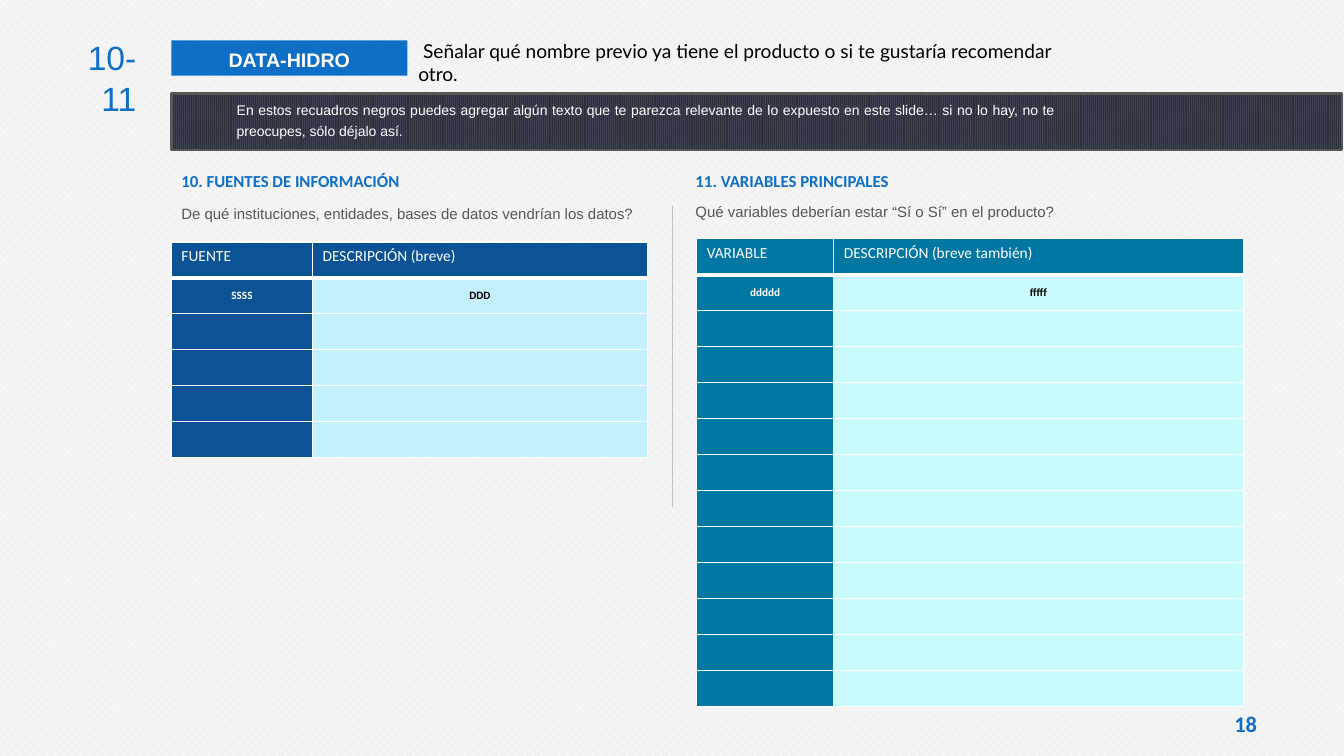
from dataclasses import dataclass

from lxml import etree
from pptx import Presentation
from pptx.dml.color import RGBColor
from pptx.enum.dml import MSO_PATTERN
from pptx.enum.shapes import MSO_CONNECTOR, MSO_SHAPE
from pptx.enum.text import MSO_ANCHOR, PP_ALIGN
from pptx.oxml import parse_xml
from pptx.oxml.ns import nsdecls, qn
from pptx.util import Inches, Pt


@dataclass(frozen=True)
class Theme:
    blue: str = "0F6FC6"
    navy: str = "0B5394"
    sky: str = "C4EFFF"
    teal: str = "0076A3"
    aqua: str = "C9FAFC"
    white: str = "FFFFFF"
    paper: str = "F2F2F2"
    black: str = "000000"
    gray: str = "575756"
    rule: str = "BFBFBF"
    band: str = "2D313C"
    band_back: str = "444A5A"
    number: float = 24
    page: float = 16
    tag: float = 14
    lead: float = 13.7
    heading: float = 12
    header: float = 11
    question: float = 10.7
    note: float = 10
    cell: float = 8


THEME = Theme()
ROW_HEIGHT = 0.357


def color(value):
    return RGBColor.from_string(value)


def write(frame, text, *, size, ink, font="Arial", bold=False,
          align=PP_ALIGN.LEFT, spacing=None):
    frame.word_wrap = True
    paragraph = frame.paragraphs[0]
    paragraph.alignment = align
    if spacing:
        paragraph.line_spacing = spacing
    run = paragraph.add_run()
    run.text = text
    run.font.size = Pt(size)
    run.font.name = font
    run.font.bold = bold
    run.font.color.rgb = color(ink)


def add_text(slide, box, text, anchor=MSO_ANCHOR.TOP, **style):
    frame = slide.shapes.add_textbox(*map(Inches, box)).text_frame
    frame.vertical_anchor = anchor
    write(frame, text, **style)
    return frame


def set_pattern(fill, preset, front, back):
    fill.patterned()
    fill.pattern = MSO_PATTERN.from_xml(preset)
    fill.fore_color.rgb = color(front)
    fill.back_color.rgb = color(back)


def set_borders(cell, bottom):
    properties = cell._tc.get_or_add_tcPr()
    widths = {"lnL": 1, "lnR": 1, "lnT": 1, "lnB": bottom}
    for index, (side, width) in enumerate(widths.items()):
        properties.insert(index, parse_xml(
            f'<a:{side} {nsdecls("a")} w="{Pt(width)}"><a:solidFill>'
            f'<a:srgbClr val="{THEME.white}"/></a:solidFill></a:{side}>'))


def add_title(slide, left, top):
    # Section number, product tag and instruction
    add_text(slide, (left, top, 0.98, 0.5), "10-11", size=THEME.number,
             ink=THEME.blue, align=PP_ALIGN.RIGHT)
    add_text(slide, (left + 3.58, top + 0.02, 6.71, 0.56),
             " Señalar qué nombre previo ya tiene el producto o si te gustaría recomendar otro.",
             anchor=MSO_ANCHOR.MIDDLE, size=THEME.lead, ink=THEME.black, font="Lato")
    tag = slide.shapes.add_shape(MSO_SHAPE.RECTANGLE, Inches(left + 1.23),
                                 Inches(top + 0.08), Inches(2.34), Inches(0.35))
    tag.shadow.inherit = False
    tag.fill.solid()
    tag.fill.fore_color.rgb = color(THEME.blue)
    tag.line.fill.background()
    tag.text_frame.vertical_anchor = MSO_ANCHOR.TOP
    write(tag.text_frame, "DATA-HIDRO", size=THEME.tag, ink=THEME.white,
          bold=True, align=PP_ALIGN.CENTER, spacing=1.1)


def add_note_band(slide, left, top, width, height):
    band = slide.shapes.add_shape(MSO_SHAPE.RECTANGLE,
                                  *map(Inches, (left, top, width, height)))
    band.shadow.inherit = False
    set_pattern(band.fill, "pct90", THEME.band, THEME.band_back)
    band.line.color.rgb = color(THEME.gray)
    band.line.width = Pt(2)

    # Bookmark ribbon
    x, y = left + 0.21, top + 0.02
    builder = slide.shapes.build_freeform(x, y, scale=Inches(1))
    builder.add_line_segments([(x + 0.14, y), (x + 0.14, y + 0.25),
                               (x + 0.07, y + 0.23), (x, y + 0.25)], close=True)
    ribbon = builder.convert_to_shape()
    ribbon.shadow.inherit = False
    ribbon.fill.solid()
    ribbon.fill.fore_color.rgb = color(THEME.blue)
    ribbon.line.fill.background()

    add_text(slide, (left + 0.55, top, 8.3, height),
             "En estos recuadros negros puedes agregar algún texto que te parezca relevante "
             "de lo expuesto en este slide… si no lo hay, no te preocupes, sólo déjalo así.",
             size=THEME.note, ink=THEME.white, align=PP_ALIGN.JUSTIFY, spacing=1.2)


def add_section(slide, left, top, width, heading, question, question_gap):
    add_text(slide, (left, top, width, 0.3), heading, size=THEME.heading,
             ink=THEME.blue, font="Calibri", bold=True)
    frame = add_text(slide, (left, top + question_gap, width, 0.28), question,
                     size=THEME.question, ink=THEME.gray)
    frame.paragraphs[0].space_after = Pt(6)


def add_grid(slide, left, top, widths, row_count, header, sample, dark, light):
    frame = slide.shapes.add_table(row_count, len(widths), Inches(left), Inches(top),
                                   Inches(sum(widths)), Inches(ROW_HEIGHT * row_count))
    table = frame.table
    for column, width in zip(table.columns, widths):
        column.width = Inches(width)
    for row_index, row in enumerate(table.rows):
        row.height = Inches(ROW_HEIGHT)
        is_header = row_index == 0
        for column_index, cell in enumerate(row.cells):
            is_dark = is_header or column_index == 0
            cell.fill.solid()
            cell.fill.fore_color.rgb = color(dark if is_dark else light)
            set_borders(cell, bottom=3 if is_header else 1)
            if is_header:
                write(cell.text_frame, header[column_index], size=THEME.header,
                      ink=THEME.white, font="Calibri")
                continue
            cell.vertical_anchor = MSO_ANCHOR.MIDDLE
            cell.margin_left = cell.margin_right = 0
            cell.margin_top = cell.margin_bottom = 0
            if row_index == 1:
                write(cell.text_frame, sample[column_index], size=THEME.cell,
                      ink=THEME.white if is_dark else THEME.black,
                      font="Calibri", bold=True, align=PP_ALIGN.CENTER)


def add_divider(slide, x, top, bottom):
    line = slide.shapes.add_connector(MSO_CONNECTOR.STRAIGHT,
                                      *map(Inches, (x, top, x, bottom)))
    line.line.color.rgb = color(THEME.rule)
    line.line.width = Pt(0.75)
    etree.SubElement(line._element.spPr, qn("a:effectLst"))


def main():
    presentation = Presentation()
    presentation.slide_width = Inches(13.33)
    presentation.slide_height = Inches(7.5)
    slide = presentation.slides.add_slide(presentation.slide_layouts[6])
    set_pattern(slide.background.fill, "pct40", THEME.white, THEME.paper)

    # Heading area
    add_title(slide, 0.47, 0.32)
    add_note_band(slide, 1.7, 0.93, 11.61, 0.56)

    # Information sources
    add_section(slide, 1.7, 1.64, 4.96, "10. FUENTES DE INFORMACIÓN",
                "De qué instituciones, entidades, bases de datos vendrían los datos?", 0.34)
    add_grid(slide, 1.7, 2.4, (1.4, 3.32), 6, ("FUENTE", "DESCRIPCIÓN (breve)"),
             ("SSSS", "DDD"), THEME.navy, THEME.sky)
    add_divider(slide, 6.67, 2.04, 5.03)

    # Main variables
    add_section(slide, 6.8, 1.64, 5.86, "11. VARIABLES PRINCIPALES",
                "Qué variables deberían estar “Sí o Sí” en el producto?", 0.32)
    add_grid(slide, 6.91, 2.37, (1.36, 4.06), 13,
             ("VARIABLE", "DESCRIPCIÓN (breve también)"),
             ("ddddd", "fffff"), THEME.teal, THEME.aqua)

    # Page number
    add_text(slide, (12.05, 7, 0.61, 0.33), "18", size=THEME.page, ink=THEME.blue,
             font="Calibri", bold=True, align=PP_ALIGN.CENTER)
    presentation.save("out.pptx")


if __name__ == "__main__":
    main()
